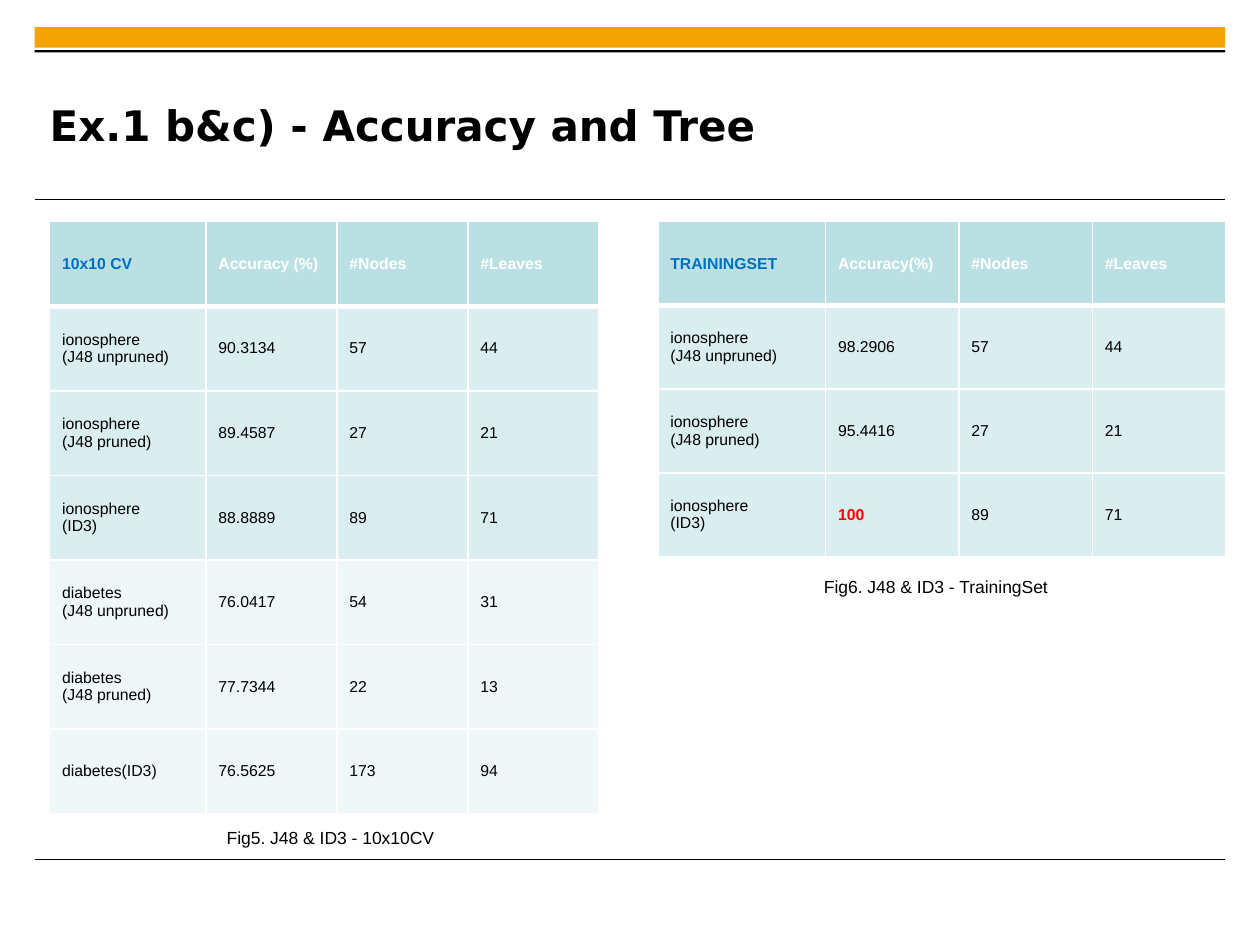
from dataclasses import dataclass

from lxml import etree
from pptx import Presentation
from pptx import util as u
from pptx.dml.color import RGBColor
from pptx.enum import shapes, text
from pptx.oxml import ns


@dataclass(frozen=True)
class Theme:
    black: str = "000000"
    white: str = "FFFFFF"
    accent: str = "F5A300"
    corner: str = "0070C0"
    highlight: str = "FF0000"
    header_fill: str = "BBE0E3"
    ionosphere_fill: str = "DAEDEF"
    diabetes_fill: str = "EFF7F8"
    title_font: str = "DejaVu Sans"
    body_font: str = "Arial"
    title_size: int = 24
    caption_size: int = 10
    cell_size: int = 9


@dataclass(frozen=True)
class Box:
    """A region of the slide, in centimetres."""
    left: float
    top: float
    width: float
    height: float

    def lengths(self):
        return [u.Cm(value) for value in (self.left, self.top, self.width, self.height)]


THEME = Theme()

CROSS_VALIDATION = [
    ("10x10 CV", "Accuracy (%)", "#Nodes", "#Leaves"),
    ("ionosphere\n(J48 unpruned)", "90.3134", "57", "44"),
    ("ionosphere\n(J48 pruned)", "89.4587", "27", "21"),
    ("ionosphere\n(ID3)", "88.8889", "89", "71"),
    ("diabetes\n(J48 unpruned)", "76.0417", "54", "31"),
    ("diabetes\n(J48 pruned)", "77.7344", "22", "13"),
    ("diabetes(ID3)", "76.5625", "173", "94"),
]
TRAINING_SET = [
    ("TRAININGSET", "Accuracy(%)", "#Nodes", "#Leaves"),
    ("ionosphere\n(J48 unpruned)", "98.2906", "57", "44"),
    ("ionosphere\n(J48 pruned)", "95.4416", "27", "21"),
    ("ionosphere\n(ID3)", "100", "89", "71"),
]


def format_runs(text_frame, font_name, size, color, bold=False):
    for paragraph in text_frame.paragraphs:
        for run in paragraph.runs:
            run.font.name = font_name
            run.font.size = u.Pt(size)
            run.font.bold = bold
            run.font.color.rgb = RGBColor.from_string(color)


def add_bar(slide, box, color):
    shape = slide.shapes.add_shape(shapes.MSO_SHAPE.RECTANGLE, *box.lengths())
    shape.shadow.inherit = False
    shape.fill.solid()
    shape.fill.fore_color.rgb = RGBColor.from_string(color)
    shape.line.fill.background()


def add_rule(slide, left, top, width):
    connector = slide.shapes.add_connector(
        shapes.MSO_CONNECTOR.STRAIGHT,
        u.Cm(left), u.Cm(top), u.Cm(left + width), u.Cm(top))
    connector.line.color.rgb = RGBColor.from_string(THEME.black)
    connector.line.width = u.Pt(0.6)
    etree.SubElement(connector._element.spPr, ns.qn("a:effectLst"))


def add_frame(slide, box):
    """Draw the band at the top and the rules around the content."""
    add_bar(slide, Box(box.left, box.top, box.width, 0.41), THEME.accent)
    add_bar(slide, Box(box.left, box.top + 0.46, box.width, 0.05), THEME.black)
    add_rule(slide, box.left, box.top + 3.48, box.width)
    add_rule(slide, box.left, box.top + box.height, box.width)


def fill_title(slide, box, wording):
    title = slide.shapes.title
    title.left, title.top, title.width, title.height = box.lengths()
    frame = title.text_frame
    frame.text = wording
    frame.auto_size = text.MSO_AUTO_SIZE.NONE
    frame.word_wrap = True
    frame.vertical_anchor = text.MSO_ANCHOR.MIDDLE
    frame.margin_left = frame.margin_right = frame.margin_top = frame.margin_bottom = 0
    frame.paragraphs[0].alignment = text.PP_ALIGN.LEFT
    format_runs(frame, THEME.title_font, THEME.title_size, THEME.black, True)


def set_borders(cell, top, bottom):
    """Draw white cell borders; top and bottom widths are in points."""
    properties = cell._tc.get_or_add_tcPr()
    for side, width in (("L", 1), ("R", 1), ("T", top), ("B", bottom)):
        line = etree.SubElement(properties, ns.qn(f"a:ln{side}"), w=str(u.Pt(width)))
        fill = etree.SubElement(line, ns.qn("a:solidFill"))
        etree.SubElement(fill, ns.qn("a:srgbClr"), val=THEME.white)


def cell_style(row, column, value, dataset):
    """Return the fill, text colour and weight of a cell."""
    if row == 0:
        return THEME.header_fill, THEME.white if column else THEME.corner, True
    fill = THEME.diabetes_fill if dataset.startswith("diabetes") else THEME.ionosphere_fill
    if value == "100":
        return fill, THEME.highlight, True
    return fill, THEME.black, False


def add_results(slide, box, first_width, rows):
    """Place a table whose columns after the first share the remaining width."""
    column_count = len(rows[0])
    table = slide.shapes.add_table(len(rows), column_count, *box.lengths()).table
    other_width = (box.width - first_width) / (column_count - 1)
    for index, column in enumerate(table.columns):
        column.width = u.Cm(other_width if index else first_width)
    for row, values in enumerate(rows):
        table.rows[row].height = u.Cm(box.height / len(rows))
        for column, value in enumerate(values):
            cell = table.cell(row, column)
            fill, color, bold = cell_style(row, column, value, values[0])
            set_borders(cell, 3 if row == 1 else 1, 3 if row == 0 else 1)
            cell.fill.solid()
            cell.fill.fore_color.rgb = RGBColor.from_string(fill)
            cell.vertical_anchor = text.MSO_ANCHOR.MIDDLE
            cell.text_frame.text = value
            format_runs(cell.text_frame, THEME.body_font, THEME.cell_size, color, bold)


def add_caption(slide, box, wording):
    frame = slide.shapes.add_textbox(*box.lengths()).text_frame
    frame.text = wording
    frame.word_wrap = False
    frame.auto_size = text.MSO_AUTO_SIZE.SHAPE_TO_FIT_TEXT
    format_runs(frame, THEME.body_font, THEME.caption_size, THEME.black)


def main():
    presentation = Presentation()
    presentation.slide_width = u.Cm(25.4)
    presentation.slide_height = u.Cm(19.05)
    slide = presentation.slides.add_slide(presentation.slide_layouts[5])

    add_frame(slide, Box(0.7, 0.55, 24, 16.77))
    fill_title(slide, Box(1, 1.35, 19.1, 2.34), "Ex.1 b&c) - Accuracy and Tree")
    add_results(slide, Box(1, 4.47, 11.07, 11.93), 3.15, CROSS_VALIDATION)
    add_results(slide, Box(13.26, 4.47, 11.45, 6.75), 3.38, TRAINING_SET)
    add_caption(slide, Box(4.32, 16.54, 4.83, 0.69), "Fig5. J48 & ID3 - 10x10CV")
    add_caption(slide, Box(16.36, 11.48, 5.23, 0.69), "Fig6. J48 & ID3 - TrainingSet")
    presentation.save("out.pptx")


if __name__ == "__main__":
    main()
